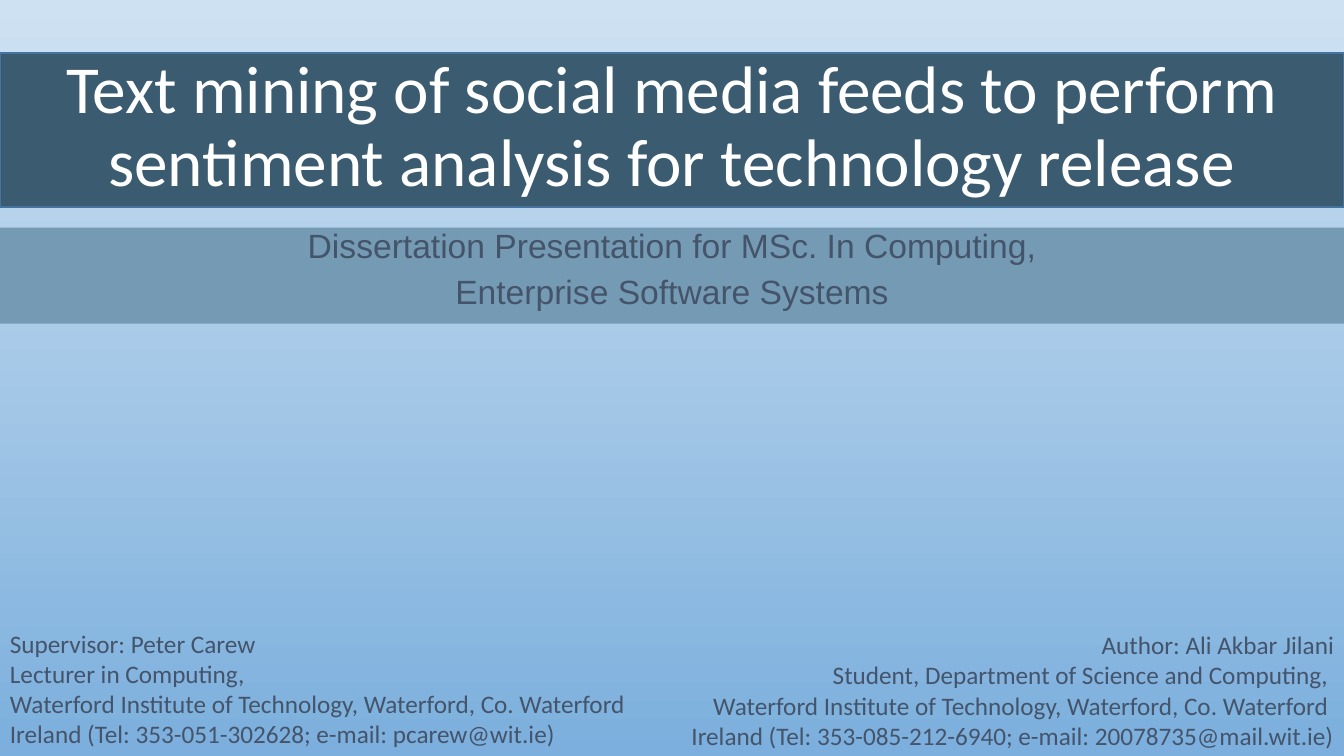
from pptx import Presentation
from pptx import util as u
from pptx.dml import color
from pptx.enum import shapes, text

WIDTH, HEIGHT = u.Inches(13.33), u.Inches(7.5)
COLORS = {
    "sky_top": "CEE1F2",
    "sky_bottom": "7CAFDD",
    "title_band": "3A5B70",
    "title_edge": "43739E",
    "subtitle_band": "759BB4",
    "ink": "44546A",
    "white": "FFFFFF",
}
TITLE = ["Text mining of social media feeds to perform sentiment analysis for technology release"]
SUBTITLE = ["Dissertation Presentation for MSc. In Computing,", "Enterprise Software Systems"]
SUPERVISOR = [
    "Supervisor: Peter Carew",
    "Lecturer in Computing,",
    "Waterford Institute of Technology, Waterford, Co. Waterford",
    "Ireland (Tel: 353-051-302628; e-mail: pcarew@wit.ie)",
]
AUTHOR = [
    "Author: Ali Akbar Jilani\nStudent, Department of Science and Computing, ",
    "Waterford Institute of Technology, Waterford, Co. Waterford ",
    "Ireland (Tel: 353-085-212-6940; e-mail: 20078735@mail.wit.ie)",
]


def rgb(name):
    return color.RGBColor.from_string(COLORS[name])


def paint_background(slide):
    fill = slide.background.fill
    fill.gradient()
    fill.gradient_angle = 270
    for stop, name in zip(fill.gradient_stops, ("sky_top", "sky_bottom")):
        stop.color.rgb = rgb(name)


def place(shape, left, top, width, height):
    """Set a shape's frame in shares of the slide's size."""
    shape.left, shape.top = int(WIDTH * left), int(HEIGHT * top)
    shape.width, shape.height = int(WIDTH * width), int(HEIGHT * height)


def write(box, lines, size, ink, align, font="Calibri", spacing=None, gap=0):
    """Fill a box with one paragraph per line; a newline becomes a line break."""
    frame = box.text_frame
    frame.word_wrap = True
    frame.auto_size = text.MSO_AUTO_SIZE.NONE
    frame.vertical_anchor = text.MSO_ANCHOR.TOP
    for number, line in enumerate(lines):
        para = frame.add_paragraph() if number else frame.paragraphs[0]
        para.alignment = align
        para.line_spacing = spacing
        para.space_before = u.Pt(gap if number else 0)
        for part_number, part in enumerate(line.split("\n")):
            if part_number:
                para.add_line_break()
            span = para.add_run()
            span.text = part
            span.font.name, span.font.size = font, u.Pt(size)
            span.font.color.rgb = rgb(ink)


def add_title(slide):
    title = slide.shapes.title
    band = slide.shapes.add_shape(shapes.MSO_SHAPE.RECTANGLE, 0, 0, 0, 0)
    place(band, 0, 0.07, 1, 0.204)
    band.shadow.inherit = False
    band.fill.solid()
    band.fill.fore_color.rgb = rgb("title_band")
    band.line.color.rgb = rgb("title_edge")
    band.line.width = u.Pt(1)
    title.element.addprevious(band.element)
    place(title, 0, 0.067, 1, 0.157)
    write(title, TITLE, 48, "white", text.PP_ALIGN.CENTER, spacing=0.9)


def add_subtitle(slide):
    subtitle = slide.placeholders[1]
    place(subtitle, 0, 0.301, 1, 0.127)
    subtitle.fill.solid()
    subtitle.fill.fore_color.rgb = rgb("subtitle_band")
    write(subtitle, SUBTITLE, 24, "ink", text.PP_ALIGN.CENTER, "Arial", spacing=0.8, gap=10)


def add_contact(slide, lines, left, top, align):
    box = slide.shapes.add_textbox(0, 0, 0, 0)
    place(box, left, top, 0.5, 0.175)
    write(box, lines, 18, "ink", align)


def main():
    deck = Presentation()
    deck.slide_width, deck.slide_height = WIDTH, HEIGHT
    slide = deck.slides.add_slide(deck.slide_layouts[0])
    paint_background(slide)
    add_subtitle(slide)
    add_contact(slide, SUPERVISOR, 0, 0.824, text.PP_ALIGN.LEFT)
    add_contact(slide, AUTHOR, 0.5, 0.826, text.PP_ALIGN.RIGHT)
    add_title(slide)
    deck.save("out.pptx")


if __name__ == "__main__":
    main()
